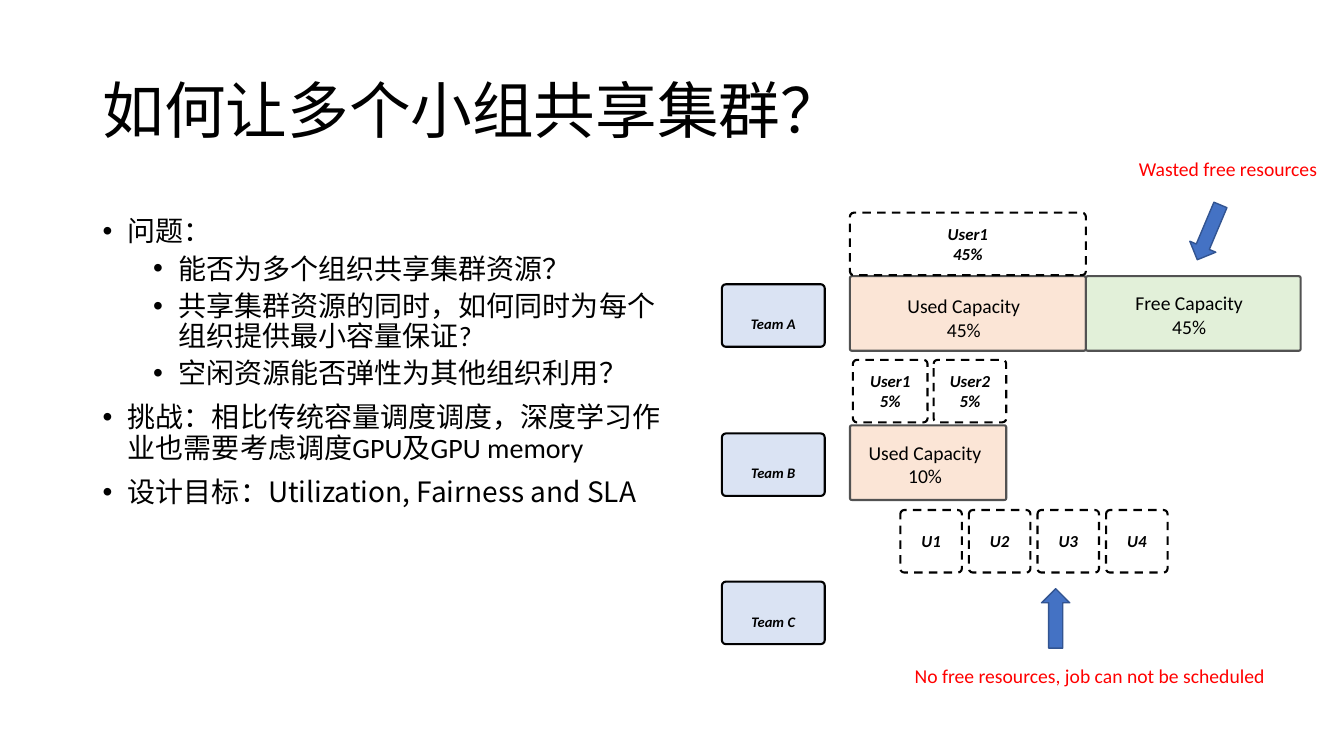
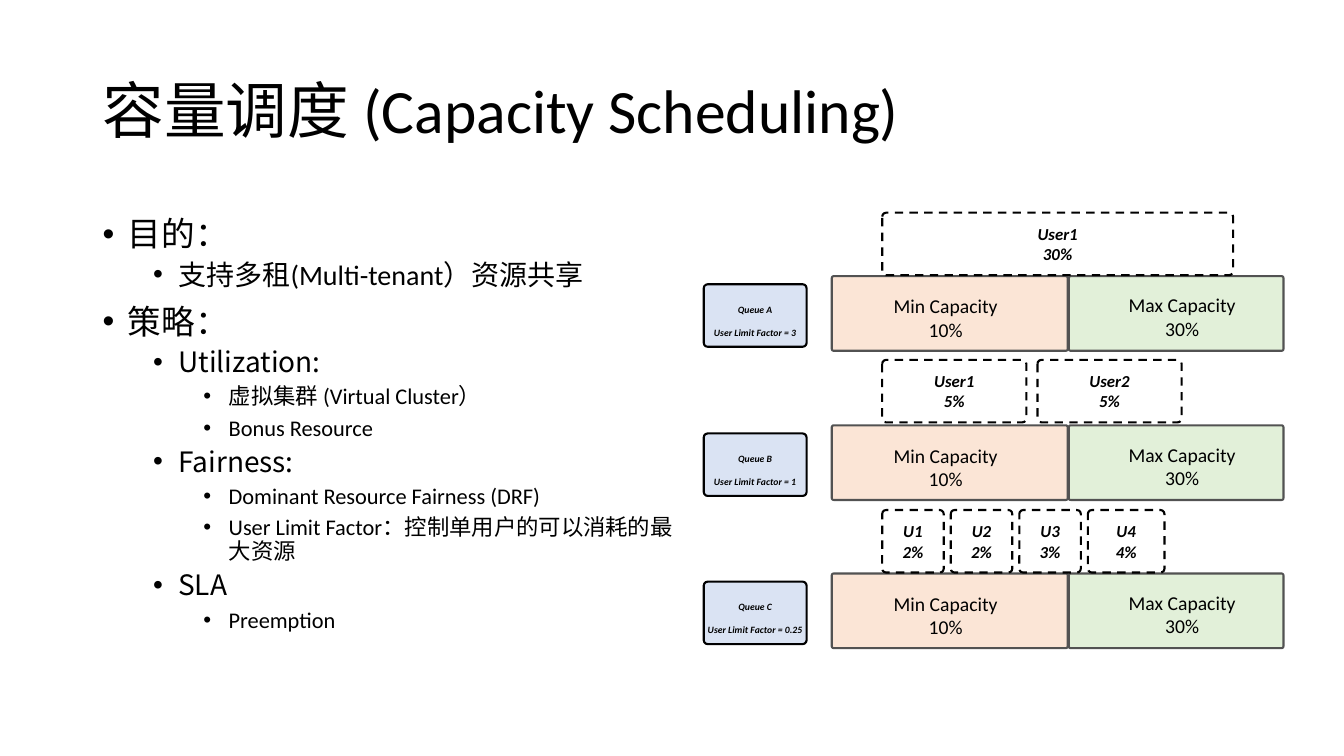
from dataclasses import dataclass

from lxml.etree import SubElement
from pptx import Presentation
from pptx.dml.color import RGBColor
from pptx.enum.dml import MSO_LINE
from pptx.enum.shapes import MSO_SHAPE as Preset
from pptx.enum.text import MSO_ANCHOR as Anchor, PP_ALIGN as Align
from pptx.oxml.ns import qn
from pptx.slide import Slide
from pptx.util import Inches, Pt

BLACK = RGBColor(0x00, 0x00, 0x00)
RED = RGBColor(0xFF, 0x00, 0x00)
GRAY = RGBColor(0x52, 0x52, 0x52)
PEACH = RGBColor(0xFB, 0xE5, 0xD6)
GREEN = RGBColor(0xE2, 0xF0, 0xD9)
PALE_BLUE = RGBColor(0xDA, 0xE3, 0xF3)
ARROW_BLUE = RGBColor(0x44, 0x72, 0xC4)
ARROW_EDGE = RGBColor(0x32, 0x54, 0x91)

LATIN = "Calibri"
CJK = "Noto Sans CJK SC"

ROW_TOPS = (2.74, 4.22, 5.69)
USER_TOPS = (2.11, 3.57, 5.06)
LABEL_DROP = 0.08
BAR_HEIGHT = 0.74
BOX_HEIGHT = 0.62
LABEL_WIDTH = 1.02
LABEL_TO_BAR = 1.27
FIRST_BAR_WIDTH = 2.34
SECOND_BAR_WIDTH = 2.13
CAPTION_WIDTH = 1.5
USER_PITCH = 0.68


@dataclass(frozen=True)
class Style:
    size: float
    color: RGBColor = BLACK
    font: str = LATIN
    strong: bool = False
    baseline: int = 0


@dataclass(frozen=True)
class Bullet:
    text: str
    level: int
    size: float
    font: str = LATIN


@dataclass(frozen=True)
class User:
    lines: tuple[str, ...]
    left: float
    width: float


@dataclass(frozen=True)
class Bar:
    """A capacity bar; its caption is shifted from the centre and top of the bar."""
    lines: tuple[str, ...]
    left: float
    width: float
    fill: RGBColor
    shift: float
    drop: float


@dataclass(frozen=True)
class Row:
    label: tuple[str, ...]
    users: tuple[User, ...]
    bars: tuple[Bar, ...] = ()


@dataclass(frozen=True)
class Diagram:
    left: float
    label_size: float
    rows: tuple[Row, ...]


TITLE = Style(44)
CAPTION = Style(14)
NOTE = Style(14, RED)
USER = Style(12, strong=True)


def add_run(paragraph, text: str, style: Style) -> None:
    run = paragraph.add_run()
    run.text = text
    font = run.font
    font.size = Pt(style.size)
    font.color.rgb = style.color
    font.name = style.font
    if style.strong:
        font.bold = font.italic = True
    properties = run._r.get_or_add_rPr()
    if style.baseline:
        properties.set("baseline", str(style.baseline))
    SubElement(properties, qn("a:ea")).set("typeface", CJK)


def write_centered(frame, lines: tuple[str, ...], style: Style) -> None:
    for index, line in enumerate(lines):
        paragraph = frame.add_paragraph() if index else frame.paragraphs[0]
        paragraph.alignment = Align.CENTER
        add_run(paragraph, line, style)


def add_textbox(slide: Slide, left: float, top: float, width: float, height: float, wrap: bool = True):
    shape = slide.shapes.add_textbox(Inches(left), Inches(top), Inches(width), Inches(height))
    shape.text_frame.word_wrap = wrap
    return shape.text_frame


def add_caption(slide: Slide, center: float, top: float, width: float,
                lines: tuple[str, ...], style: Style = CAPTION) -> None:
    frame = add_textbox(slide, center - width / 2, top, width, 0.1 + 0.24 * len(lines), wrap=False)
    write_centered(frame, lines, style)


def add_box(slide: Slide, preset: Preset, left: float, top: float, width: float, height: float,
            fill: RGBColor | None, line: RGBColor, line_width: float = 1.5):
    shape = slide.shapes.add_shape(preset, Inches(left), Inches(top), Inches(width), Inches(height))
    shape.shadow.inherit = False
    if fill is None:
        shape.fill.background()
    else:
        shape.fill.solid()
        shape.fill.fore_color.rgb = fill
    shape.line.color.rgb = line
    shape.line.width = Pt(line_width)
    return shape


def add_text_block(slide: Slide, left: float, top: float, width: float,
                   lines: tuple[str, ...], style: Style, fill: RGBColor | None = None) -> None:
    """Draw a team label, or a dashed user box when there is no fill."""
    shape = add_box(slide, Preset.ROUNDED_RECTANGLE, left, top, width, BOX_HEIGHT, fill, BLACK)
    shape.adjustments[0] = 0.063
    if fill is None:
        shape.line.dash_style = MSO_LINE.DASH
    frame = shape.text_frame
    frame.word_wrap = True
    frame.vertical_anchor = Anchor.MIDDLE
    frame.margin_left = frame.margin_right = Inches(0.01)
    write_centered(frame, lines, style)


def add_bar(slide: Slide, bar: Bar, top: float) -> None:
    shape = add_box(slide, Preset.ROUNDED_RECTANGLE, bar.left, top, bar.width, BAR_HEIGHT, bar.fill, GRAY)
    shape.adjustments[0] = 0.025
    add_caption(slide, bar.left + bar.width / 2 + bar.shift, top + bar.drop, CAPTION_WIDTH, bar.lines)


def add_arrow(slide: Slide, left: float, top: float, rotation: float) -> None:
    add_box(slide, Preset.DOWN_ARROW, left, top, 0.28, 0.59, ARROW_BLUE, ARROW_EDGE, 1).rotation = rotation


def add_diagram(slide: Slide, diagram: Diagram) -> None:
    label_style = Style(diagram.label_size, strong=True, baseline=-25000)
    for row, top, user_top in zip(diagram.rows, ROW_TOPS, USER_TOPS):
        for bar in row.bars:
            add_bar(slide, bar, top)
        add_text_block(slide, diagram.left, top + LABEL_DROP, LABEL_WIDTH, row.label, label_style, PALE_BLUE)
        for user in row.users:
            add_text_block(slide, user.left, user_top, user.width, user.lines, USER)


def add_title(slide: Slide, text: str) -> None:
    frame = add_textbox(slide, 0.92, 0.4, 11.5, 1.45)
    frame.vertical_anchor = Anchor.MIDDLE
    paragraph = frame.paragraphs[0]
    paragraph.line_spacing = 0.9
    add_run(paragraph, text, TITLE)


def add_bullets(slide: Slide, bullets: tuple[Bullet, ...]) -> None:
    frame = add_textbox(slide, 0.92, 2.11, 5.93, 4.77)
    for index, bullet in enumerate(bullets):
        paragraph = frame.add_paragraph() if index else frame.paragraphs[0]
        paragraph.level = bullet.level
        paragraph.line_spacing = 0.9
        paragraph.space_before = Pt(5 if bullet.level else 10)
        properties = paragraph._p.get_or_add_pPr()
        properties.set("marL", str(Inches(0.25 + 0.5 * bullet.level)))
        properties.set("indent", str(Inches(-0.25)))
        SubElement(properties, qn("a:buFont")).set("typeface", "Arial")
        SubElement(properties, qn("a:buChar")).set("char", "•")
        add_run(paragraph, bullet.text, Style(bullet.size, font=bullet.font))


def add_content_slide(presentation, title: str, bullets: tuple[Bullet, ...], diagram: Diagram) -> Slide:
    slide = presentation.slides.add_slide(presentation.slide_layouts[6])
    add_title(slide, title)
    add_bullets(slide, bullets)
    add_diagram(slide, diagram)
    return slide


def small_users(left: float, shares: tuple[str, ...] = (), last_width: float = 0.61) -> tuple[User, ...]:
    """Four equally spaced users, with their shares if given."""
    return tuple(
        User((f"U{index + 1}", *shares[index:index + 1]), left + index * USER_PITCH,
             last_width if index == 3 else 0.61)
        for index in range(4)
    )


SHARING_LEFT = 7.16
SHARING_BAR = SHARING_LEFT + LABEL_TO_BAR
SHARING_BULLETS = (
    Bullet("问题：", 0, 20),
    Bullet("能否为多个组织共享集群资源？", 1, 20),
    Bullet("共享集群资源的同时，如何同时为每个组织提供最小容量保证?", 1, 20),
    Bullet("空闲资源能否弹性为其他组织利用？", 1, 20),
    Bullet("挑战：相比传统容量调度调度，深度学习作业也需要考虑调度GPU及GPU memory", 0, 20),
    Bullet("设计目标：Utilization, Fairness and SLA", 0, 20, CJK),
)
SHARING_DIAGRAM = Diagram(SHARING_LEFT, 18, (
    Row(("Team A",), (User(("User1", "45%"), SHARING_BAR, FIRST_BAR_WIDTH),), (
        Bar(("Used Capacity", "45%"), SHARING_BAR, FIRST_BAR_WIDTH, PEACH, -0.04, 0.13),
        Bar(("Free Capacity", "45%"), SHARING_BAR + FIRST_BAR_WIDTH, SECOND_BAR_WIDTH, GREEN, -0.04, 0.1),
    )),
    Row(("Team B",), (User(("User1", "5%"), 8.46, 0.74), User(("User2", "5%"), 9.26, 0.72)), (
        Bar(("Used Capacity", "10%"), SHARING_BAR, 1.55, PEACH, -0.03, 0.1),
    )),
    Row(("Team C",), small_users(8.93)),
))

QUEUE_LEFT = 6.98
QUEUE_BAR = QUEUE_LEFT + LABEL_TO_BAR
QUEUE_USER = 8.75
QUEUE_BARS = (
    Bar(("Min Capacity", "10%"), QUEUE_BAR, FIRST_BAR_WIDTH, PEACH, -0.04, 0.13),
    Bar(("Max Capacity", "30%"), QUEUE_BAR + FIRST_BAR_WIDTH + 0.01, SECOND_BAR_WIDTH, GREEN, 0.06, 0.12),
)
QUEUE_BULLETS = (
    Bullet("目的：", 0, 24),
    Bullet("支持多租(Multi-tenant）资源共享", 1, 20),
    Bullet("策略：", 0, 24),
    Bullet("Utilization:", 1, 20, CJK),
    Bullet("虚拟集群 (Virtual Cluster）", 2, 16),
    Bullet("Bonus Resource", 2, 16),
    Bullet("Fairness:", 1, 20, CJK),
    Bullet("Dominant Resource Fairness (DRF)", 2, 16),
    Bullet("User Limit Factor：控制单用户的可以消耗的最大资源", 2, 16),
    Bullet("SLA", 1, 20, CJK),
    Bullet("Preemption", 2, 16),
)
QUEUE_DIAGRAM = Diagram(QUEUE_LEFT, 12, (
    Row(("Queue A", "User Limit Factor = 3"), (User(("User1", "30%"), QUEUE_USER, 3.48),), QUEUE_BARS),
    Row(("Queue B", "User Limit Factor = 1"),
        (User(("User1", "5%"), QUEUE_USER, 1.43), User(("User2", "5%"), 10.29, 1.43)), QUEUE_BARS),
    Row(("Queue C", "User Limit Factor = 0.25"),
        small_users(QUEUE_USER, ("2%", "2%", "3%", "4%"), 0.76), QUEUE_BARS),
))


def main() -> None:
    presentation = Presentation()
    presentation.slide_width = Inches(13.33)
    presentation.slide_height = Inches(7.5)

    sharing = add_content_slide(presentation, "如何让多个小组共享集群？", SHARING_BULLETS, SHARING_DIAGRAM)
    add_caption(sharing, 12.18, 1.51, 1.99, ("Wasted free resources",), NOTE)
    add_arrow(sharing, 11.85, 2.01, 22.9)
    add_caption(sharing, 10.81, 6.54, 3.7, ("No free resources, job can not be scheduled",), NOTE)
    add_arrow(sharing, 10.33, 5.84, 180)

    add_content_slide(presentation, "容量调度 (Capacity Scheduling)", QUEUE_BULLETS, QUEUE_DIAGRAM)
    presentation.save("out.pptx")


if __name__ == "__main__":
    main()
